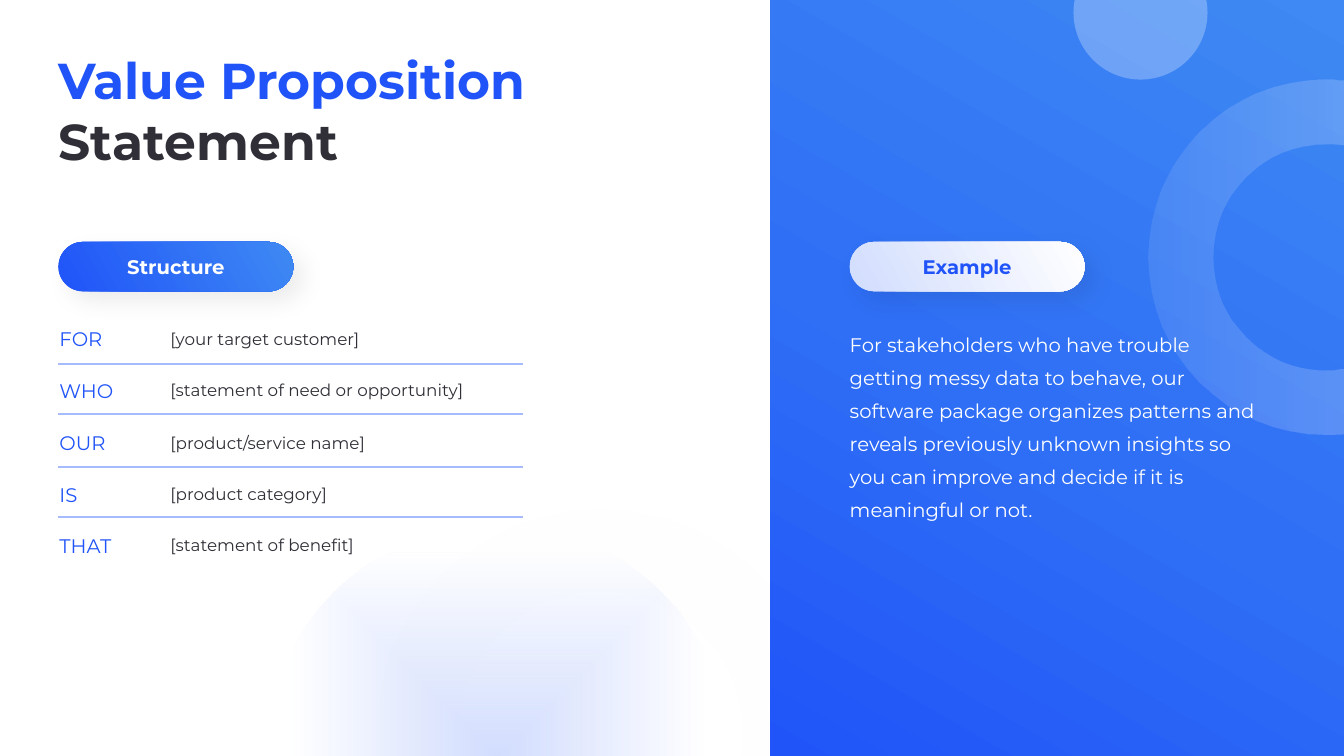
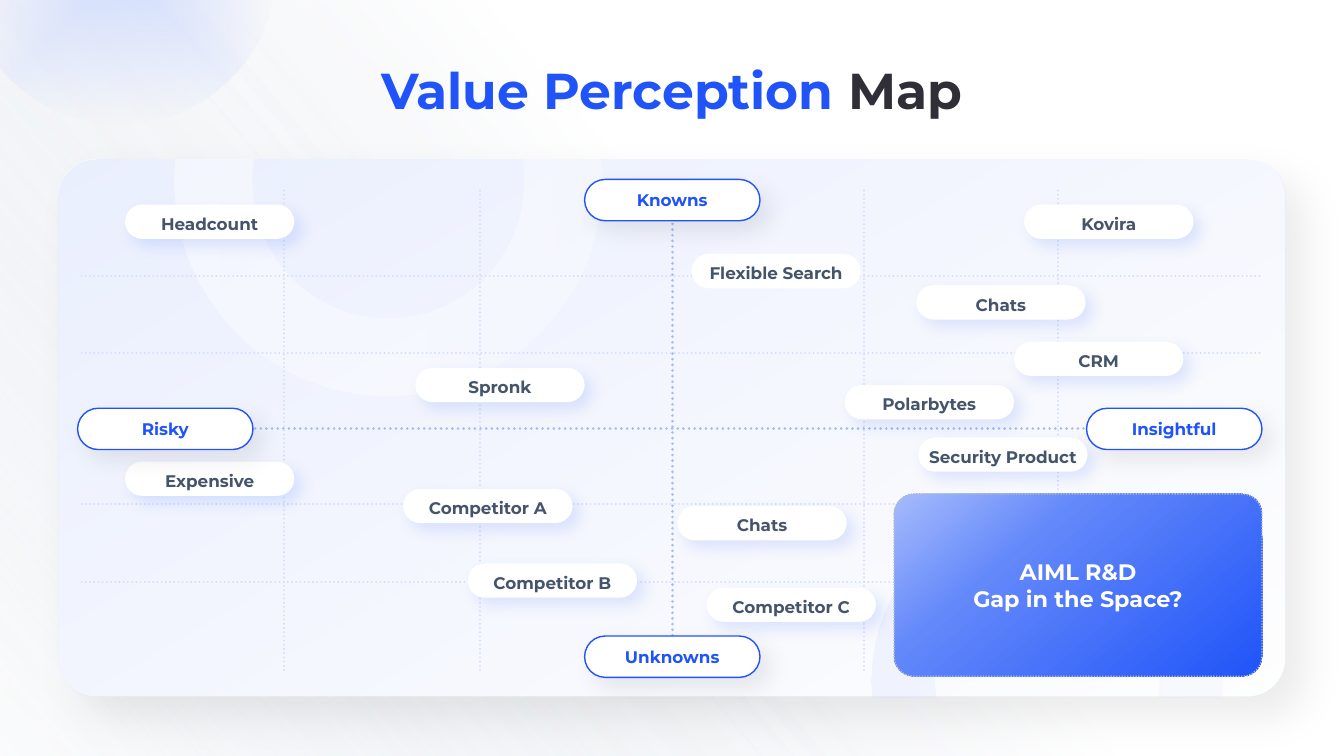
"""Build the value proposition statement and the value perception map."""
import math
from dataclasses import dataclass
from typing import Optional

from lxml import etree
from pptx import Presentation
from pptx import util as u
from pptx.dml.color import RGBColor
from pptx.enum import dml, shapes, text
from pptx.oxml.ns import qn

PX = 9144
SLIDE_WIDTH, SLIDE_HEIGHT = 1333, 750
MARGIN = 58
FONT = "Montserrat"
COLORS = {
    "blue": "2054F8",
    "sky": "3E89F3",
    "azure": "2F6FF5",
    "cornflower": "6388FA",
    "periwinkle": "A6BBFC",
    "pale": "D2DDFE",
    "ink": "302F37",
    "slate": "44546A",
    "steel": "ADB9CA",
    "mist": "D6DCE5",
    "white": "FFFFFF",
    "black": "000000",
}


@dataclass(frozen=True)
class Box:
    left: int
    top: int
    width: int
    height: int

    def emu(self) -> tuple[int, ...]:
        return tuple(side * PX for side in (self.left, self.top, self.width, self.height))


@dataclass(frozen=True)
class Stop:
    position: int
    color: str
    alpha: int = 100


@dataclass(frozen=True)
class Fill:
    stops: tuple[Stop, ...]
    angle: int = 0
    radial: bool = False


@dataclass(frozen=True)
class Shadow:
    color: str
    alpha: int
    blur: int
    distance: int


@dataclass(frozen=True)
class Outline:
    color: str
    width: float
    dotted: bool = False


@dataclass(frozen=True)
class Type:
    size: int
    color: str
    bold: bool = False
    align: text.PP_ALIGN = text.PP_ALIGN.LEFT
    anchor: text.MSO_ANCHOR = text.MSO_ANCHOR.MIDDLE
    leading: float = 1.0
    gap: int = 0
    inset: int = 0


@dataclass(frozen=True)
class Ring:
    x: int
    y: int
    inner: int
    outer: int
    cut: int
    opening: int
    fill: Fill


@dataclass(frozen=True)
class Pill:
    label: str
    left: int
    top: int
    lifted: bool = True


def plain(color: str, alpha: int = 100) -> Fill:
    return Fill((Stop(0, color, alpha),))


def fade(start: str, end: str, angle: int, alphas: tuple[int, int] = (100, 100)) -> Fill:
    return Fill((Stop(0, start, alphas[0]), Stop(100, end, alphas[1])), angle)


CENTER = text.PP_ALIGN.CENTER
SOFT_SHADOW = Shadow("black", 8, 17, 10)
CARD_SHADOW = Shadow("black", 8, 30, 20)
BLUE_SHADOW = Shadow("blue", 12, 11, 7)
TITLE_LEFT = Type(36, "blue", True)
TITLE_CENTER = Type(36, "blue", True, CENTER, text.MSO_ANCHOR.TOP)
KEYWORD = Type(14, "blue", leading=1.2, gap=4)
HINT = Type(12, "ink", leading=1.2, gap=4)
EXAMPLE = Type(14, "white", anchor=text.MSO_ANCHOR.TOP, leading=1.4, gap=4)
ITEM = Type(12, "slate", True, CENTER, leading=1.2, gap=4)
AXIS_END = Type(12, "blue", True, CENTER, inset=5)
GAP = Type(16, "white", True, CENTER, inset=5)

STRUCTURE = (
    ("FOR", "[your target customer]"),
    ("WHO", "[statement of need or opportunity]"),
    ("OUR", "[product/service name]"),
    ("IS", "[product category]"),
    ("THAT", "[statement of benefit]"),
)
EXAMPLE_TEXT = (
    "For stakeholders who have trouble getting messy data to behave, our software package "
    "organizes patterns and reveals previously unknown insights so you can improve and "
    "decide if it is meaningful or not."
)
ITEMS = (
    Pill("Headcount", 124, 203),
    Pill("Spronk", 412, 365),
    Pill("Flexible Search", 686, 252, False),
    Pill("Kovira", 1016, 203),
    Pill("Chats", 909, 283),
    Pill("CRM", 1006, 339),
    Pill("Polarbytes", 838, 382),
    Pill("Expensive", 124, 458),
    Pill("Competitor A", 400, 485),
    Pill("Competitor B", 464, 559),
    Pill("Competitor C", 701, 583),
    Pill("Chats", 672, 502),
    Pill("Security Product", 911, 434),
)
AXIS_ENDS = (
    Pill("Risky", 77, 405),
    Pill("Knowns", 580, 178),
    Pill("Unknowns", 580, 631),
    Pill("Insightful", 1078, 405),
)


def add_color(parent, color: str, alpha: int) -> None:
    node = etree.SubElement(parent, qn("a:srgbClr"), val=COLORS[color])
    if alpha < 100:
        etree.SubElement(node, qn("a:alpha"), val=str(alpha * 1000))


def paint(shape, fill: Fill) -> None:
    """Fill a shape with one colour or a gradient, each with its own opacity."""
    shape.fill.background()
    blank = shape._element.spPr.find(qn("a:noFill"))
    if len(fill.stops) == 1:
        node = etree.Element(qn("a:solidFill"))
        add_color(node, fill.stops[0].color, fill.stops[0].alpha)
    else:
        node = etree.Element(qn("a:gradFill"), rotWithShape="1")
        stops = etree.SubElement(node, qn("a:gsLst"))
        for stop in fill.stops:
            mark = etree.SubElement(stops, qn("a:gs"), pos=str(stop.position * 1000))
            add_color(mark, stop.color, stop.alpha)
        if fill.radial:
            glow = etree.SubElement(node, qn("a:path"), path="shape")
            etree.SubElement(glow, qn("a:fillToRect"), l="50000", t="50000", r="50000", b="50000")
        else:
            etree.SubElement(node, qn("a:lin"), ang=str(fill.angle * 60000), scaled="0")
    blank.getparent().replace(blank, node)


def stroke(line, outline: Outline) -> None:
    line.color.rgb = RGBColor.from_string(COLORS[outline.color])
    line.width = u.Pt(outline.width)
    if outline.dotted:
        line.dash_style = dml.MSO_LINE.ROUND_DOT


def finish(shape, fill: Fill, outline: Optional[Outline] = None, shadow: Optional[Shadow] = None) -> None:
    paint(shape, fill)
    if outline:
        stroke(shape.line, outline)
    else:
        shape.line.fill.background()
    shape.shadow.inherit = False
    if shadow:
        effects = shape._element.spPr.find(qn("a:effectLst"))
        cast = etree.SubElement(
            effects, qn("a:outerShdw"), blurRad=str(u.Pt(shadow.blur)), dist=str(u.Pt(shadow.distance)),
            dir=str(45 * 60000), algn="tl", rotWithShape="0")
        add_color(cast, shadow.color, shadow.alpha)


def write(shape, paragraphs: list[list[tuple[str, str]]], style: Type) -> None:
    """Write paragraphs of (words, colour) runs in one style."""
    frame = shape.text_frame
    frame.word_wrap = True
    frame.auto_size = text.MSO_AUTO_SIZE.NONE
    frame.vertical_anchor = style.anchor
    frame.margin_left = frame.margin_right = 2 * style.inset * PX
    frame.margin_top = frame.margin_bottom = style.inset * PX
    for index, runs in enumerate(paragraphs):
        paragraph = frame.add_paragraph() if index else frame.paragraphs[0]
        paragraph.alignment = style.align
        paragraph.line_spacing = style.leading
        paragraph.space_before = paragraph.space_after = u.Pt(style.gap)
        paragraph.font.name = FONT
        paragraph.font.size = u.Pt(style.size)
        paragraph.font.bold = style.bold
        paragraph.font.color.rgb = RGBColor.from_string(COLORS[style.color])
        for words, color in runs:
            run = paragraph.add_run()
            run.text = words
            if color != style.color:
                run.font.color.rgb = RGBColor.from_string(COLORS[color])


def add_panel(slide, box: Box, fill: Fill, kind=shapes.MSO_SHAPE.RECTANGLE, radius: Optional[float] = None,
              outline: Optional[Outline] = None, shadow: Optional[Shadow] = None):
    panel = slide.shapes.add_shape(kind, *box.emu())
    if radius is not None:
        panel.adjustments[0] = radius
    finish(panel, fill, outline, shadow)
    return panel


def add_rounded(slide, box: Box, fill: Fill, radius: float = 0.5, outline: Optional[Outline] = None,
                shadow: Optional[Shadow] = None):
    return add_panel(slide, box, fill, shapes.MSO_SHAPE.ROUNDED_RECTANGLE, radius, outline, shadow)


def add_label(slide, box: Box, words: str, style: Type) -> None:
    write(slide.shapes.add_textbox(*box.emu()), [[(words, style.color)]], style)


def add_rule(slide, start: tuple[int, int], end: tuple[int, int], outline: Outline) -> None:
    ends = (length * PX for length in (*start, *end))
    rule = slide.shapes.add_connector(shapes.MSO_CONNECTOR.STRAIGHT, *ends)
    stroke(rule.line, outline)
    if outline.dotted:
        rule._element.spPr.find(qn("a:ln")).set("cap", "rnd")
    etree.SubElement(rule._element.spPr, qn("a:effectLst"))


def add_ring(slide, ring: Ring) -> None:
    """Draw a ring of Bézier arcs, cut off by a straight edge on its opening side."""
    def stations(radius: int) -> list[tuple[int, float]]:
        gap = math.degrees(math.acos(ring.cut / radius))
        return [(radius, math.radians(ring.opening + turn)) for turn in (gap, 90, 180, 270, 360 - gap)]

    def point(radius: int, angle: float, pull: float = 0) -> tuple[float, float]:
        across, down = math.cos(angle), math.sin(angle)
        return (ring.x + radius * (across - pull * down)) * PX, (ring.y + radius * (down + pull * across)) * PX

    stops = stations(ring.outer) + stations(ring.inner)[::-1]
    builder = slide.shapes.build_freeform(*point(*stops[0]))
    builder.add_line_segments([point(*stop) for stop in stops[1:]])
    shape = builder.convert_to_shape()
    segments = list(shape._element.spPr.iter(qn("a:lnTo")))
    for segment, (radius, start), (next_radius, end) in zip(segments, stops, stops[1:]):
        if radius != next_radius:
            continue
        pull = 4 / 3 * math.tan((end - start) / 4)
        curve = etree.Element(qn("a:cubicBezTo"))
        for x, y in (point(radius, start, pull), point(radius, end, -pull), point(radius, end)):
            etree.SubElement(curve, qn("a:pt"), x=str(round(x - shape.left)), y=str(round(y - shape.top)))
        segment.getparent().replace(segment, curve)
    finish(shape, ring.fill)


def place(slide, holder, box: Box) -> None:
    """Move a placeholder to its box, in front of what is drawn so far."""
    holder.left, holder.top, holder.width, holder.height = box.emu()
    slide.shapes._spTree.append(holder._element)


def add_title(slide, width: int, accent: str, rest: str, style: Type) -> None:
    place(slide, slide.shapes.title, Box(MARGIN, 59, width, 100))
    write(slide.shapes.title, [[(accent + " ", "blue"), (rest, "ink")]], style)


def add_glow(slide, box: Box, edge: int) -> None:
    glow = Fill((Stop(0, "pale"), Stop(edge, "pale", 0)), radial=True)
    add_panel(slide, box, glow, shapes.MSO_SHAPE.OVAL)


def add_heading(slide, left: int, words: str, color: str, fill: Fill) -> None:
    heading = add_rounded(slide, Box(left, 240, 233, 49), fill, shadow=SOFT_SHADOW)
    write(heading, [[(words, color)]], Type(14, color, True, CENTER, inset=5))


def build_statement(deck) -> None:
    slide = deck.slides.add_slide(deck.slide_layouts[1])
    add_ring(slide, Ring(596, 727, 141, 222, 23, 90, fade("white", "white", 90, (40, 80))))
    add_glow(slide, Box(263, 521, 461, 461), 89)
    add_title(slide, 640, "Value Proposition", "Statement", TITLE_LEFT)
    add_heading(slide, MARGIN, "Structure", "white", fade("blue", "sky", 330))
    for row, (keyword, hint) in enumerate(STRUCTURE):
        top = round(321 + 51.25 * row)
        add_label(slide, Box(59, top, 69, 26), keyword, KEYWORD)
        add_label(slide, Box(169, top, 401, 26), hint, HINT)
    for y in (361, 411, 463, 513):
        add_rule(slide, (MARGIN, y), (519, y), Outline("periwinkle", 1.25))
    backdrop = Fill((Stop(0, "blue"), Stop(45, "azure"), Stop(100, "sky")), 300)
    add_panel(slide, Box(764, 0, 570, SLIDE_HEIGHT), backdrop)
    add_ring(slide, Ring(1315, 255, 112, 176, 18, 0, fade("white", "white", 0, (10, 20))))
    add_heading(slide, 843, "Example", "blue", fade("pale", "white", 330))
    add_panel(slide, Box(1065, -54, 133, 133), plain("white", 27), shapes.MSO_SHAPE.OVAL)
    example = slide.placeholders[1]
    place(slide, example, Box(843, 321, 411, 354))
    write(example, [[(EXAMPLE_TEXT, "white")]], EXAMPLE)
    layout = example.text_frame.paragraphs[0]._p.get_or_add_pPr()
    layout.set("marL", "0")
    layout.set("indent", "0")
    layout.insert_element_before(etree.Element(qn("a:buNone")), "a:tabLst", "a:defRPr", "a:extLst")


def build_map(deck) -> None:
    slide = deck.slides.add_slide(deck.slide_layouts[5])
    haze = Fill((Stop(41, "white"), Stop(98, "mist", 10)), 140)
    add_panel(slide, Box(-35, 0, SLIDE_WIDTH, SLIDE_HEIGHT), haze)
    add_glow(slide, Box(-35, -185, 308, 308), 100)
    add_title(slide, 1217, "Value Perception", "Map", TITLE_CENTER)
    card = Box(MARGIN, 158, 1217, 533)
    add_rounded(slide, card, plain("white"), 0.07, shadow=CARD_SHADOW)
    add_rounded(slide, card, fade("pale", "pale", 60, (45, 2)), 0.07)
    add_ring(slide, Ring(385, 180, 135, 212, 22, -90, fade("white", "white", 0, (48, 35))))
    add_ring(slide, Ring(1039, 674, 111, 174, 18, 90, fade("pale", "pale", 180, (10, 25))))
    axis, grid = Outline("periwinkle", 2, True), Outline("pale", 1.5, True)
    add_rule(slide, (214, 425), (1119, 425), axis)
    add_rule(slide, (667, 211), (667, 644), axis)
    for y in (274, 350, 500, 577):
        add_rule(slide, (81, y), (1252, y), grid)
    for x in (282, 476, 857, 1050):
        add_rule(slide, (x, 189), (x, 665), grid)
    for item in ITEMS:
        shadow = BLUE_SHADOW if item.lifted else None
        pill = add_rounded(slide, Box(item.left, item.top, 168, 34), plain("white"), shadow=shadow)
        write(pill, [[(item.label, "slate")]], ITEM)
    depth = Fill((Stop(0, "periwinkle"), Stop(33, "cornflower"), Stop(100, "blue")), 50)
    gap = add_rounded(slide, Box(887, 490, 365, 181), depth, 0.11, Outline("steel", 1, True))
    write(gap, [[(line, "white")] for line in ("AIML R&D", "Gap in the Space?")], GAP)
    for end in AXIS_ENDS:
        pill = add_rounded(slide, Box(end.left, end.top, 174, 41), plain("white"),
                           outline=Outline("blue", 1), shadow=SOFT_SHADOW)
        write(pill, [[(end.label, "blue")]], AXIS_END)


def main() -> None:
    deck = Presentation()
    deck.slide_width, deck.slide_height = u.Inches(40 / 3), SLIDE_HEIGHT * PX
    build_statement(deck)
    build_map(deck)
    deck.save("out.pptx")


if __name__ == "__main__":
    main()
